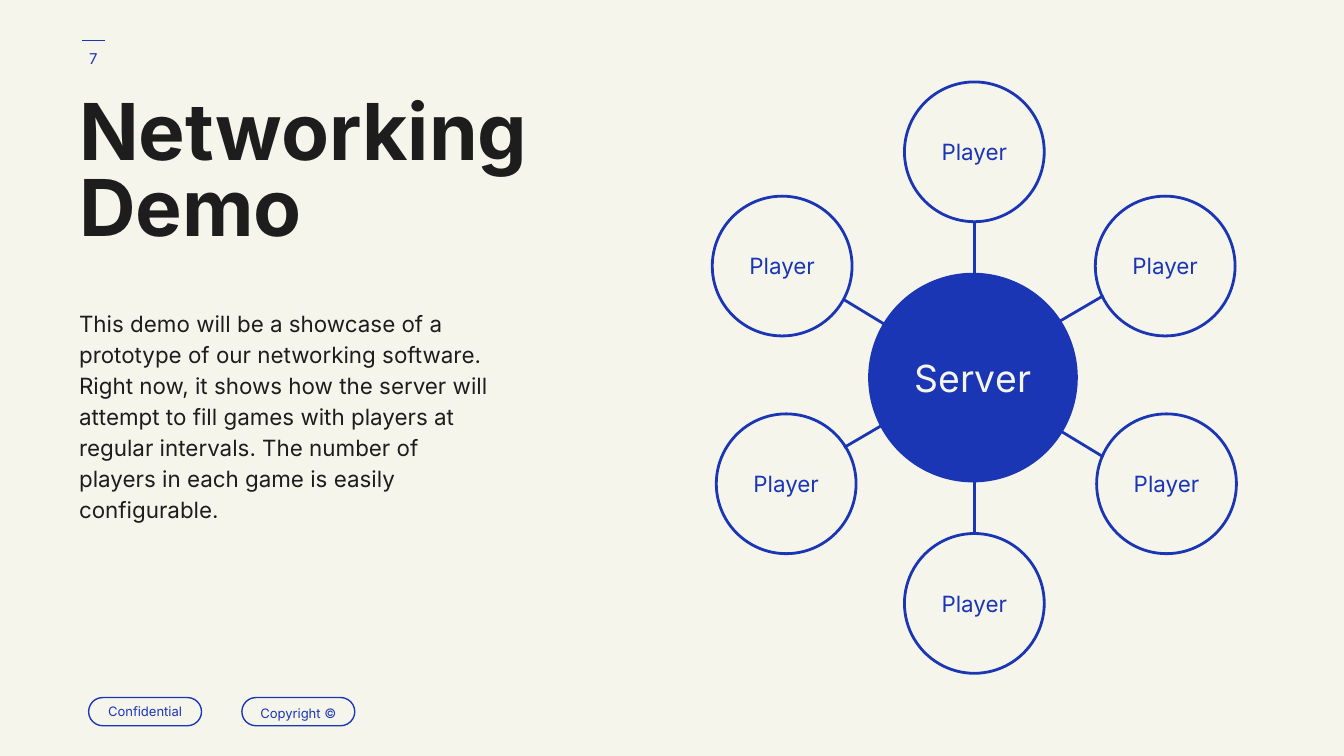
from dataclasses import dataclass

from lxml import etree
from pptx import Presentation
from pptx.dml.color import RGBColor
from pptx.enum.shapes import MSO_CONNECTOR, MSO_SHAPE
from pptx.enum.text import MSO_ANCHOR, PP_ALIGN
from pptx.oxml.ns import qn
from pptx.util import Inches, Pt

STRAIGHT = MSO_CONNECTOR.STRAIGHT
ROUNDED = MSO_SHAPE.ROUNDED_RECTANGLE
TOP, MIDDLE = MSO_ANCHOR.TOP, MSO_ANCHOR.MIDDLE
LEFT, CENTER = PP_ALIGN.LEFT, PP_ALIGN.CENTER


@dataclass(frozen=True)
class Theme:
    font: str = "Inter"
    paper: RGBColor = RGBColor(0xF6, 0xF5, 0xEC)
    ink: RGBColor = RGBColor(0x1D, 0x1D, 0x1D)
    blue: RGBColor = RGBColor(0x1A, 0x36, 0xB4)
    title: float = 42
    server: float = 20
    body: float = 12
    number: float = 8
    tag: float = 7
    thin: float = 0.75
    thick: float = 1.5


THEME = Theme()


@dataclass(frozen=True)
class Area:
    left: float
    top: float
    width: float
    height: float

    def lengths(self) -> list:
        return [Inches(v) for v in (self.left, self.top, self.width, self.height)]


@dataclass(frozen=True)
class Label:
    text: str
    size: float
    color: RGBColor = THEME.blue
    bold: bool = False
    align: PP_ALIGN = CENTER
    anchor: MSO_ANCHOR = MIDDLE
    spacing: float = 1.0


@dataclass(frozen=True)
class Link:
    start: tuple[float, float]
    end: tuple[float, float]
    weight: float = THEME.thick


def write(box, label: Label) -> None:
    frame = box.text_frame
    frame_format = {"word_wrap": True, "vertical_anchor": label.anchor}
    for side in ("left", "top", "right", "bottom"):
        frame_format[f"margin_{side}"] = Inches(0.1)
    for name, value in frame_format.items():
        setattr(frame, name, value)

    para = frame.paragraphs[0]
    para.alignment = label.align
    para.line_spacing = label.spacing
    span = para.add_run()
    span.text = label.text
    span.font.color.rgb = label.color
    font_format = {"name": THEME.font, "size": Pt(label.size), "bold": label.bold}
    for name, value in font_format.items():
        setattr(span.font, name, value)


def add_text(page, area: Area, label: Label) -> None:
    write(page.shapes.add_textbox(*area.lengths()), label)


def add_pill(page, area: Area, label: Label, weight: float = 0) -> None:
    """Draw an outlined pill, or a filled one when weight is 0."""
    pill = page.shapes.add_shape(ROUNDED, *area.lengths())
    pill.adjustments[0] = 0.5
    pill.shadow.inherit = False
    if weight:
        pill.fill.background()
        pill.line.color.rgb = THEME.blue
        pill.line.width = Pt(weight)
    else:
        pill.fill.solid()
        pill.fill.fore_color.rgb = THEME.blue
        pill.line.fill.background()
    write(pill, label)


def add_link(page, link: Link) -> None:
    ends = [Inches(v) for v in link.start + link.end]
    line = page.shapes.add_connector(STRAIGHT, *ends)
    line.line.color.rgb = THEME.blue
    line.line.width = Pt(link.weight)
    etree.SubElement(line._element.spPr, qn("a:effectLst"))


PLAYER_SIZE = 1.04
PLAYER_CORNERS = [(8.15, 1.46), (5.3, 1.46), (6.73, 0.61),
                  (5.33, 3.08), (8.16, 3.08), (6.73, 3.97)]
SPOKES = [Link((6.28, 3.33), (8.21, 2.2)),
          Link((8.21, 3.4), (6.28, 2.23)),
          Link((7.25, 3.97), (7.25, 1.65))]
TAGS = [Label("Confidential", THEME.tag),
        Label("Copyright ©", THEME.tag, spacing=1.15)]
DESCRIPTION = (
    "This demo will be a showcase of a prototype of our networking software. "
    "Right now, it shows how the server will attempt to fill games with players "
    "at regular intervals. The number of players in each game is easily configurable."
)


def main() -> None:
    # A 16:9 page
    deck = Presentation()
    deck.slide_width = Inches(10)
    deck.slide_height = Inches(10 * 9 / 16)
    page = deck.slides.add_slide(deck.slide_layouts[6])
    page.background.fill.solid()
    page.background.fill.fore_color.rgb = THEME.paper

    # Page number rule and footer tags
    add_link(page, Link((0.78, 0.3), (0.61, 0.3), THEME.thin))
    for index, tag in enumerate(TAGS):
        add_pill(page, Area(0.66 + 1.14 * index, 5.19, 0.84, 0.21), tag, THEME.thin)

    # Title and description
    add_text(page, Area(0.49, 0.65, 4.32, 1.44),
             Label("Networking Demo", THEME.title, THEME.ink, True, LEFT, TOP, 0.8))
    add_text(page, Area(0.49, 2.18, 3.24, 1.88),
             Label(DESCRIPTION, THEME.body, THEME.ink, False, LEFT, TOP, 1.15))

    # Network: spokes behind the server, players around it
    for spoke in SPOKES:
        add_link(page, spoke)
    add_pill(page, Area(6.46, 2.03, 1.56, 1.56),
             Label("Server", THEME.server, THEME.paper))
    for left, top in PLAYER_CORNERS:
        add_pill(page, Area(left, top, PLAYER_SIZE, PLAYER_SIZE),
                 Label("Player", THEME.body), THEME.thick)

    # Page number
    add_text(page, Area(0.46, 0.22, 0.47, 0.43), Label("7", THEME.number))

    deck.save("out.pptx")


if __name__ == "__main__":
    main()
